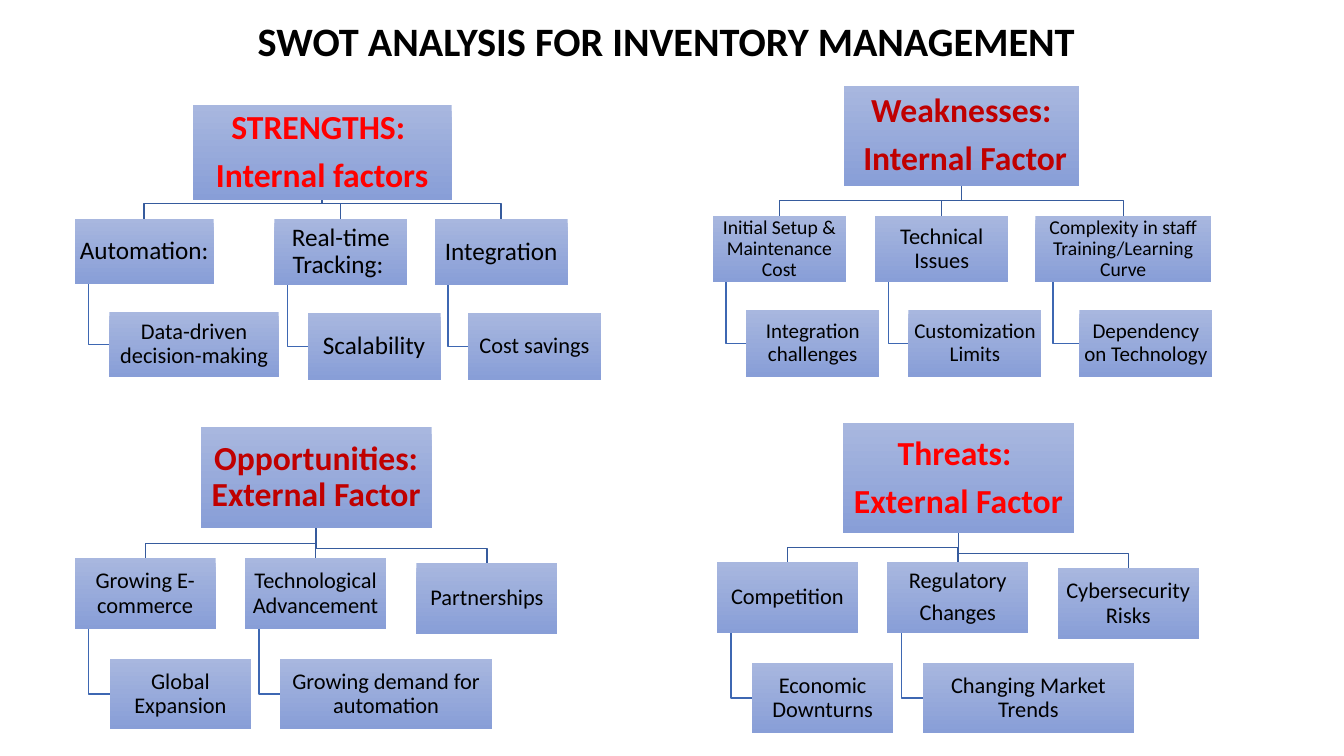
from pptx import Presentation
from pptx.dml.color import RGBColor
from pptx.enum.shapes import MSO_SHAPE
from pptx.enum.text import MSO_ANCHOR, PP_ALIGN
from pptx.util import Inches, Pt

RECT = MSO_SHAPE.RECTANGLE
MIDDLE = MSO_ANCHOR.MIDDLE
CENTER = PP_ALIGN.CENTER

FONT = "Calibri"
BLACK = RGBColor(0x00, 0x00, 0x00)
RED = RGBColor(0xFF, 0x00, 0x00)
DARK_RED = RGBColor(0xC0, 0x00, 0x00)
BOX_TOP = RGBColor(0xA8, 0xB7, 0xDF)
BOX_BOTTOM = RGBColor(0x88, 0x9E, 0xD7)
TRUNK = RGBColor(0x36, 0x5B, 0x9D)
BRANCH = RGBColor(0x3E, 0x67, 0xB2)

# Each chart: heading box, heading lines, heading colour, and its factors.
# A factor: box, lines, size, then (leaf width, leaf text, size) or None.
CHARTS = [
    ((1.91, 1.04, 2.57, 0.94), ["STRENGTHS: ", "Internal factors"], RED, [
        ((0.74, 2.17, 1.38, 0.65), ["Automation:"], 18,
         (1.68, "Data-driven decision-making", 16)),
        ((2.72, 2.17, 1.32, 0.66), ["Real-time Tracking: "], 18,
         (1.32, "Scalability", 18)),
        ((4.31, 2.17, 1.32, 0.66), ["Integration"], 18,
         (1.32, "Cost savings", 16)),
    ]),
    ((8.37, 0.85, 2.33, 1), ["Weaknesses:", " Internal Factor"], DARK_RED, [
        ((7.07, 2.14, 1.32, 0.66), ["Initial Setup & Maintenance Cost"], 14,
         (1.32, "Integration challenges", 15)),
        ((8.68, 2.14, 1.32, 0.66), ["Technical Issues"], 16,
         (1.32, "Customization Limits", 15)),
        ((10.27, 2.14, 1.74, 0.66),
         ["Complexity in staff Training/Learning Curve"], 14,
         (1.32, "Dependency on Technology", 15)),
    ]),
    ((1.99, 4.24, 2.29, 1), ["Opportunities: External Factor"], DARK_RED, [
        ((0.74, 5.54, 1.4, 0.7), ["Growing E-commerce"], 16,
         (1.4, "Global Expansion", 16)),
        ((2.43, 5.54, 1.4, 0.7), ["Technological Advancement"], 16,
         (2.1, "Growing demand for automation", 16)),
        ((4.13, 5.59, 1.4, 0.7), ["Partnerships"], 16, None),
    ]),
    ((8.36, 4.2, 2.29, 1.09), ["Threats: ", "External Factor"], RED, [
        ((7.11, 5.58, 1.4, 0.7), ["Competition"], 16,
         (1.4, "Economic Downturns", 16)),
        ((8.8, 5.58, 1.4, 0.7), ["Regulatory", "Changes"], 16,
         (2.1, "Changing Market Trends", 16)),
        ((10.49, 5.64, 1.4, 0.7), ["Cybersecurity Risks"], 16, None),
    ]),
]


def write(shape, lines, size, color=BLACK, bold=False, inset=0.01):
    tf = shape.text_frame
    tf.word_wrap = True
    tf.vertical_anchor = MIDDLE
    tf.margin_left = tf.margin_right = Inches(inset)
    tf.margin_top = tf.margin_bottom = Inches(inset)
    for i, line in enumerate(lines):
        p = tf.paragraphs[0] if i == 0 else tf.add_paragraph()
        p.alignment = CENTER
        p.line_spacing = 0.9
        p.space_after = Pt(0.35 * size)
        r = p.add_run()
        r.text = line
        r.font.name = FONT
        r.font.size = Pt(size)
        r.font.bold = bold
        r.font.color.rgb = color


def add_box(s, box, lines, size, **style):
    sp = s.shapes.add_shape(RECT, *map(Inches, box))
    sp.shadow.inherit = False
    sp.line.fill.background()
    sp.fill.gradient()
    sp.fill.gradient_angle = 270
    for stop, color in zip(sp.fill.gradient_stops, (BOX_TOP, BOX_BOTTOM)):
        stop.color.rgb = color
    write(sp, lines, size, **style)


def add_elbow(s, points, color):
    start, *rest = [(Inches(x), Inches(y)) for x, y in points]
    builder = s.shapes.build_freeform(*start)
    builder.add_line_segments(rest, close=False)
    sp = builder.convert_to_shape()
    sp.shadow.inherit = False
    sp.fill.background()
    sp.line.color.rgb = color
    sp.line.width = Pt(1)


def add_leaf(s, parent, leaf):
    """Hang a leaf box below and to the right of its factor."""
    left, top, width, height = parent
    leaf_width, text, size = leaf
    x, bottom = left + 0.1 * width, top + height
    leaf_left, leaf_top = left + 0.25 * width, bottom + 0.42 * height
    middle = leaf_top + height / 2
    add_elbow(s, [(x, bottom), (x, middle), (leaf_left, middle)], BRANCH)
    add_box(s, (leaf_left, leaf_top, leaf_width, height), [text], size)


def add_chart_tree(s, head, heading, color, factors):
    left, top, width, height = head
    x, bottom = left + width / 2, top + height
    for box, _, _, _ in factors:
        center, bus = box[0] + box[2] / 2, box[1] - 0.15
        add_elbow(s, [(x, bottom), (x, bus), (center, bus),
                      (center, box[1])], TRUNK)
    add_box(s, head, heading, 24, color=color, bold=True, inset=0.02)
    for box, lines, size, leaf in factors:
        add_box(s, box, lines, size)
        if leaf:
            add_leaf(s, box, leaf)


def main():
    prs = Presentation()
    prs.slide_width, prs.slide_height = Inches(13.33), Inches(7.5)
    s = prs.slides.add_slide(prs.slide_layouts[6])
    title = s.shapes.add_textbox(Inches(0.86), Inches(0.28),
                                 Inches(11.5), Inches(0.31))
    write(title, ["SWOT ANALYSIS FOR INVENTORY MANAGEMENT"], 28.8, bold=True)
    for chart in CHARTS:
        add_chart_tree(s, *chart)
    prs.save("out.pptx")


if __name__ == "__main__":
    main()
